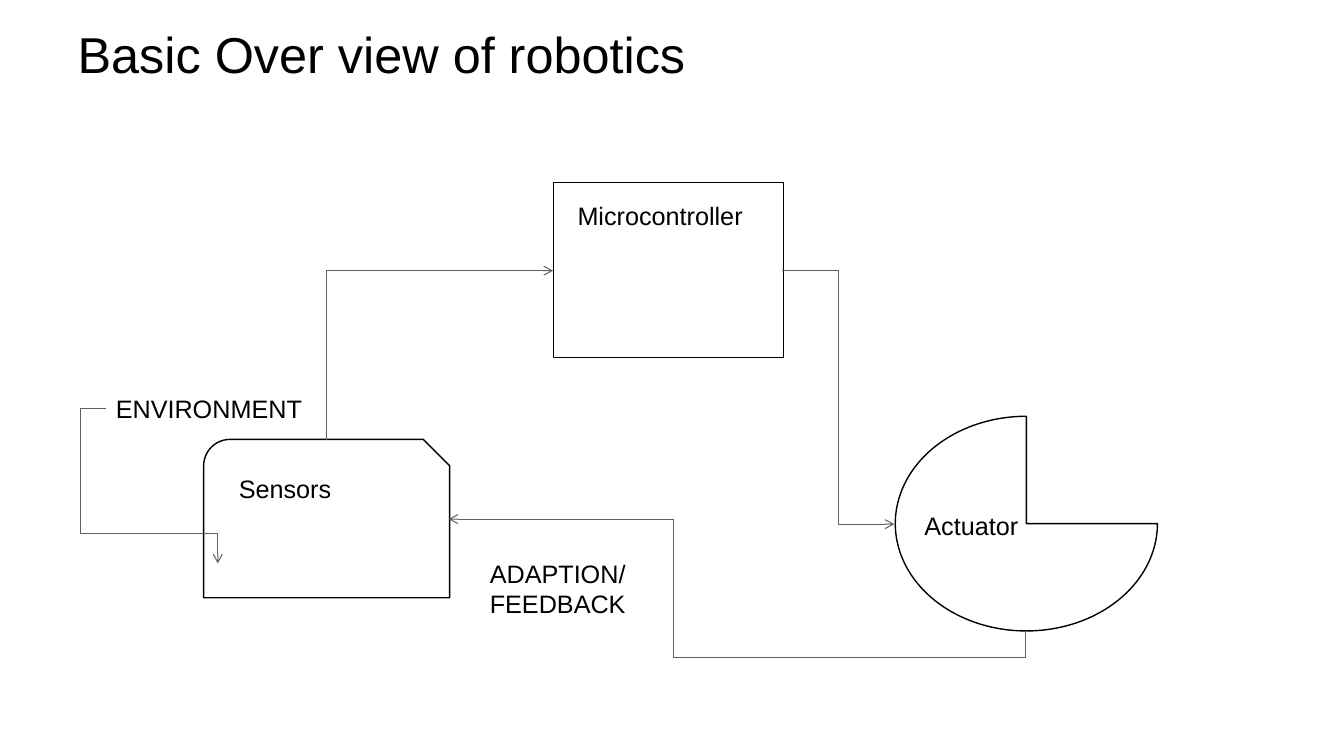
from lxml import etree
from pptx import Presentation
from pptx.dml.color import RGBColor
from pptx.enum.shapes import MSO_CONNECTOR, MSO_SHAPE
from pptx.enum.text import MSO_ANCHOR, PP_ALIGN
from pptx.oxml.ns import qn
from pptx.util import Inches, Pt

BLACK = "000000"
WHITE = "FFFFFF"
GREY = "5F5F5F"


def colour(value):
    return RGBColor.from_string(value)


def write(shape, text, size):
    frame = shape.text_frame
    frame.word_wrap = True
    for index, line in enumerate(text.split("\n")):
        para = frame.paragraphs[0] if index == 0 else frame.add_paragraph()
        para.text = line
        para.alignment = PP_ALIGN.LEFT
        for span in para.runs:
            span.font.name = "Arial"
            span.font.size = Pt(size)
            span.font.color.rgb = colour(BLACK)


def add_title(page, text, left, top, width, height):
    title = page.shapes.title
    title.left, title.top = Inches(left), Inches(top)
    title.width, title.height = Inches(width), Inches(height)
    write(title, text, 36)
    title.text_frame.vertical_anchor = MSO_ANCHOR.MIDDLE


def add_label(page, text, left, top, width, height=0.4):
    box = page.shapes.add_textbox(
        Inches(left), Inches(top), Inches(width), Inches(height))
    write(box, text, 18)


def add_node(page, kind, text, box, label_offset, label_width):
    left, top, width, height = box
    node = page.shapes.add_shape(
        kind, Inches(left), Inches(top), Inches(width), Inches(height))
    node.shadow.inherit = False
    node.fill.solid()
    node.fill.fore_color.rgb = colour(WHITE)
    node.line.color.rgb = colour(BLACK)
    node.line.width = Pt(1)
    across, down = label_offset
    add_label(page, text, left + across, top + down, label_width)


def add_elbow(page, box, bends, adjustments=(), rotation=0, flips=""):
    left, top, width, height = box
    elbow = page.shapes.add_connector(
        MSO_CONNECTOR.ELBOW, Inches(left), Inches(top),
        Inches(left + width), Inches(top + height))
    elbow.line.color.rgb = colour(GREY)
    elbow.line.width = Pt(0.75)
    properties = elbow.element.spPr
    frame = properties.find(qn("a:xfrm"))
    if rotation:
        frame.set("rot", str(rotation * 60000))
    for flip in flips:
        frame.set("flip" + flip, "1")
    geometry = properties.find(qn("a:prstGeom"))
    geometry.set("prst", f"bentConnector{bends}")
    guides = geometry.get_or_add_avLst()
    for number, share in enumerate(adjustments, 1):
        etree.SubElement(guides, qn("a:gd"), name=f"adj{number}",
                         fmla=f"val {round(share * 100000)}")
    outline = properties.find(qn("a:ln"))
    etree.SubElement(outline, qn("a:tailEnd"), type="arrow")
    etree.SubElement(properties, qn("a:effectLst"))


def add_robot_loop(page, left, top):
    add_node(page, MSO_SHAPE.RECTANGLE, "Microcontroller",
             (left + 4.7, top, 2.28, 1.74), (0.14, 0.13), 1.97)
    add_node(page, MSO_SHAPE.SNIP_ROUND_RECTANGLE, "Sensors",
             (left + 1.23, top + 2.55, 2.44, 1.57), (0.25, 0.29), 1.95)
    add_node(page, MSO_SHAPE.PIE, "Actuator",
             (left + 8.09, top + 2.32, 2.6, 2.13), (0.19, 0.88), 2.15)

    add_elbow(page, (left + 6.97, top + 0.87, 1.11, 2.52), 3)
    add_elbow(page, (left + 2.73, top + 0.59, 1.68, 2.25), 2, rotation=270)
    add_elbow(page, (left + 0.26, top + 2.24, 1.11, 1.54), 4,
              (-0.23, 0.81), 180, "HV")
    add_elbow(page, (left + 5.96, top + 1.04, 1.12, 5.72), 4,
              (-0.23, 0.61), 90, "H")

    add_label(page, "ENVIRONMENT", left + 0.26, top + 2.04, 2.15)
    add_label(page, "ADAPTION/\nFEEDBACK", left + 3.97, top + 3.68, 1.73, 0.71)


def main():
    deck = Presentation()
    deck.slide_width, deck.slide_height = Inches(13.33), Inches(7.5)
    page = deck.slides.add_slide(deck.slide_layouts[5])
    add_title(page, "Basic Over view of robotics", 0.67, 0.21, 12, 0.64)
    add_robot_loop(page, 0.79, 1.81)
    deck.save("out.pptx")


if __name__ == "__main__":
    main()
